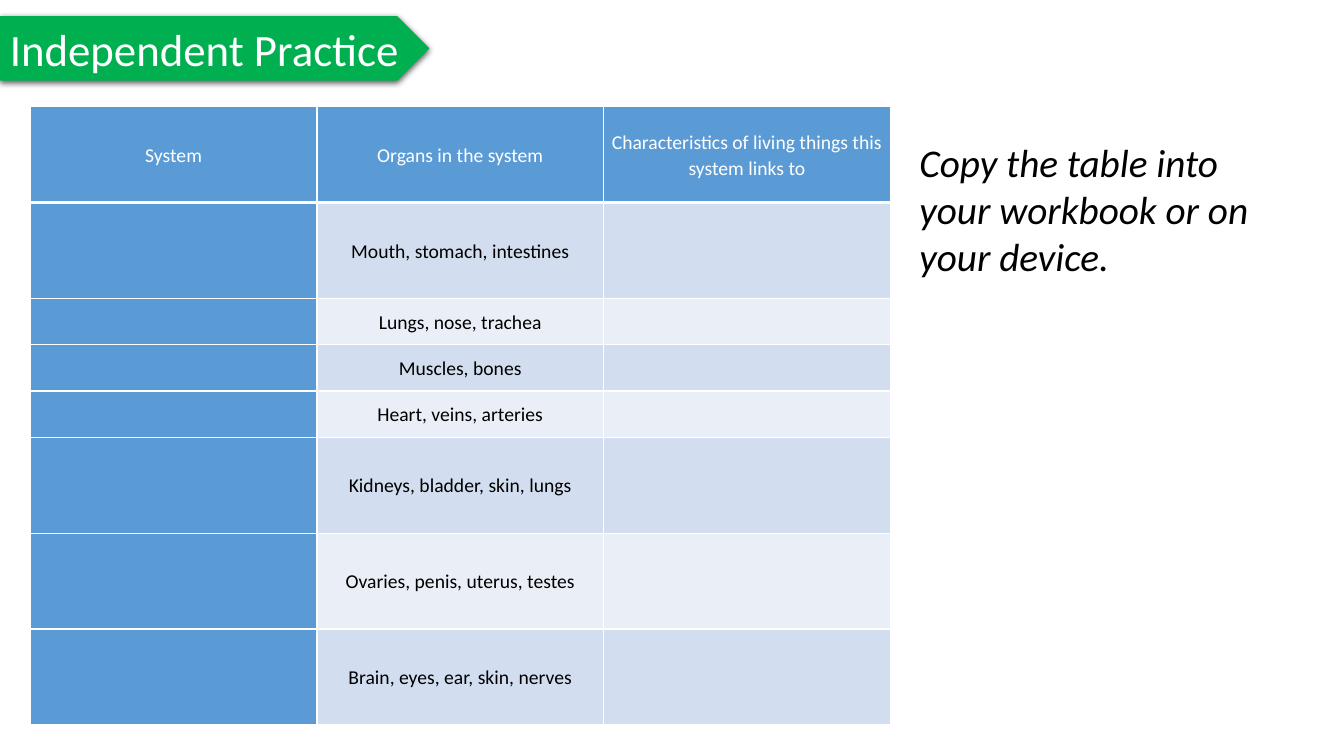
from dataclasses import dataclass

from lxml.etree import SubElement
from pptx import Presentation
from pptx.dml.color import RGBColor
from pptx.enum.shapes import MSO_SHAPE
from pptx.enum.text import MSO_ANCHOR, MSO_AUTO_SIZE, PP_ALIGN
from pptx.oxml.ns import qn
from pptx.util import Inches, Pt


@dataclass(frozen=True)
class Theme:
    font: str = "Calibri"
    white: str = "FFFFFF"
    black: str = "000000"
    green: str = "00B050"
    blue: str = "5B9BD5"
    bands: tuple = ("D2DEEF", "EAEFF7")
    title: int = 32
    task: int = 28
    body: int = 14


THEME = Theme()
HEADS = ("System", "Organs in the system",
         "Characteristics of living things this system links to")
# Organs of each system, with the row height
ORGANS = (
    ("Mouth, stomach, intestines", 0.95),
    ("Lungs, nose, trachea", 0.46),
    ("Muscles, bones", 0.46),
    ("Heart, veins, arteries", 0.46),
    ("Kidneys, bladder, skin, lungs", 0.95),
    ("Ovaries, penis, uterus, testes", 0.95),
    ("Brain, eyes, ear, skin, nerves", 0.95),
)


def apply(item, form):
    for name, value in form.items():
        setattr(item, name, value)


def paint(fill, color):
    fill.solid()
    fill.fore_color.rgb = RGBColor.from_string(color)


def write(frame, text, size, color, para=None, **extra):
    part = frame.paragraphs[0]
    apply(part, para or {})
    run = part.add_run()
    run.text = text
    apply(run.font, {"name": THEME.font, "size": Pt(size), "bold": False, **extra})
    run.font.color.rgb = RGBColor.from_string(color)


def color_in(parent, color):
    return SubElement(parent, qn("a:srgbClr"), val=color)


def shade(shape):
    shape.shadow.inherit = False
    effects = shape._element.spPr.find(qn("a:effectLst"))
    outer = SubElement(effects, qn("a:outerShdw"), blurRad=str(Pt(4.5)),
                       dist=str(Pt(1.5)), dir="5400000", rotWithShape="0")
    SubElement(color_in(outer, THEME.black), qn("a:alpha"), val="63000")


def edge(cell, head):
    props = cell._tc.get_or_add_tcPr()
    for side in "LRTB":
        width = 3 if head and side == "B" else 1
        line = SubElement(props, qn(f"a:ln{side}"), w=str(Pt(width)))
        color_in(SubElement(line, qn("a:solidFill")), THEME.white)


# Title arrow at the top left
def banner(slide, box, text):
    arrow = slide.shapes.add_shape(MSO_SHAPE.PENTAGON, *map(Inches, box))
    paint(arrow.fill, THEME.green)
    arrow.line.fill.background()
    shade(arrow)
    apply(arrow.text_frame, {"word_wrap": False,
                             "auto_size": MSO_AUTO_SIZE.SHAPE_TO_FIT_TEXT})
    write(arrow.text_frame, text, THEME.title, THEME.white,
          {"alignment": PP_ALIGN.LEFT})


# Instruction beside the table
def task(slide, box, text):
    frame = slide.shapes.add_textbox(*map(Inches, box)).text_frame
    apply(frame, {"word_wrap": True,
                  "auto_size": MSO_AUTO_SIZE.SHAPE_TO_FIT_TEXT})
    write(frame, text, THEME.task, THEME.black, italic=True)


# Table to fill in: blue head row and first column, banded body
def chart(slide, box):
    rows = [(HEADS, 0.95)] + [(("", organs, ""), high) for organs, high in ORGANS]
    grid = slide.shapes.add_table(len(rows), len(HEADS), *map(Inches, box)).table
    for col in grid.columns:
        col.width = Inches(box[2] / len(HEADS))
    for r, (texts, high) in enumerate(rows):
        grid.rows[r].height = Inches(high)
        for c, text in enumerate(texts):
            cell = grid.cell(r, c)
            head = r == 0
            edge(cell, head)
            paint(cell.fill, THEME.blue if head or c == 0
                  else THEME.bands[(r - 1) % 2])
            apply(cell, {"vertical_anchor": MSO_ANCHOR.MIDDLE,
                         "margin_left": Inches(0.07), "margin_right": Inches(0.07),
                         "margin_top": 0, "margin_bottom": 0})
            if text:
                write(cell.text_frame, text, THEME.body,
                      THEME.white if head else THEME.black,
                      {"alignment": PP_ALIGN.CENTER, "line_spacing": 1.07})


def main():
    deck = Presentation()
    apply(deck, {"slide_width": Inches(13.33), "slide_height": Inches(7.5)})
    slide = deck.slides.add_slide(deck.slide_layouts[6])
    banner(slide, (0, 0.16, 4.26, 0.64), "Independent Practice")
    task(slide, (9.02, 1.32, 3.51, 1.51),
         "Copy the table into your workbook or on your device.")
    chart(slide, (0.3, 1.06, 8.53, 6.12))
    deck.save("out.pptx")


if __name__ == "__main__":
    main()
